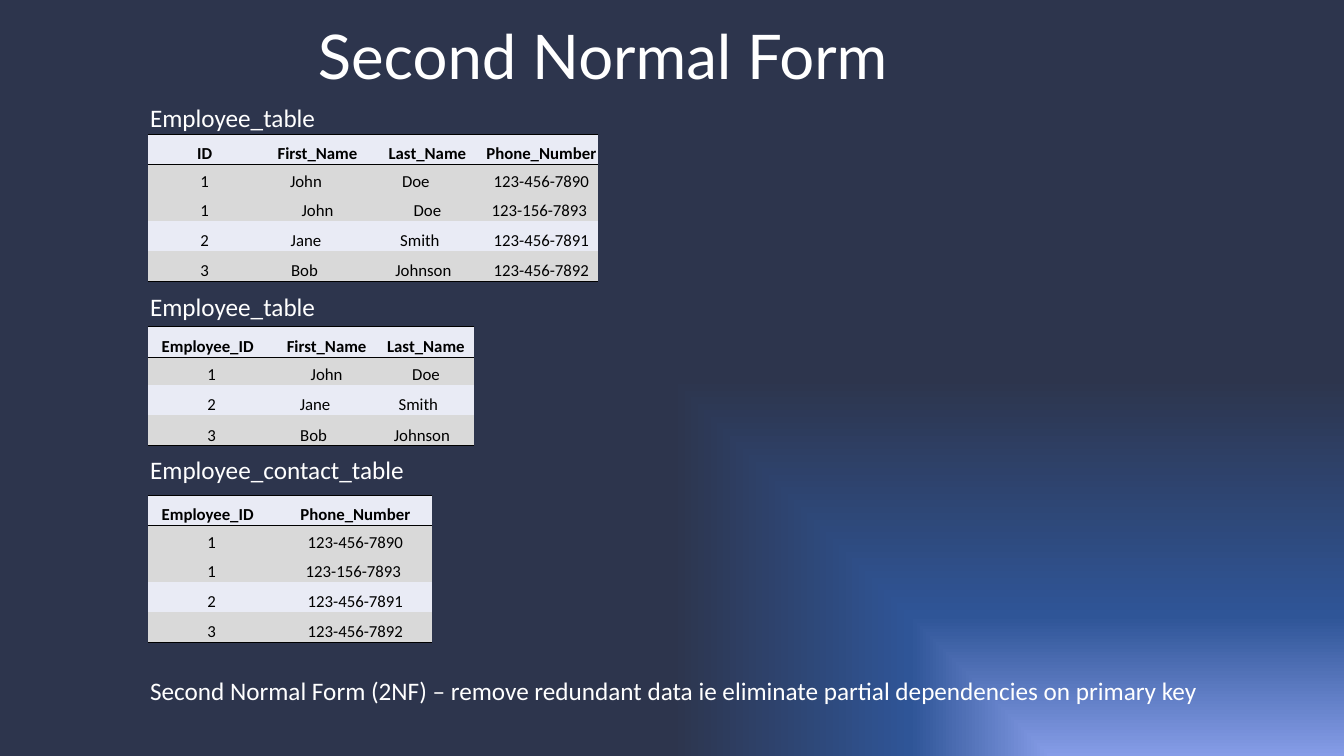
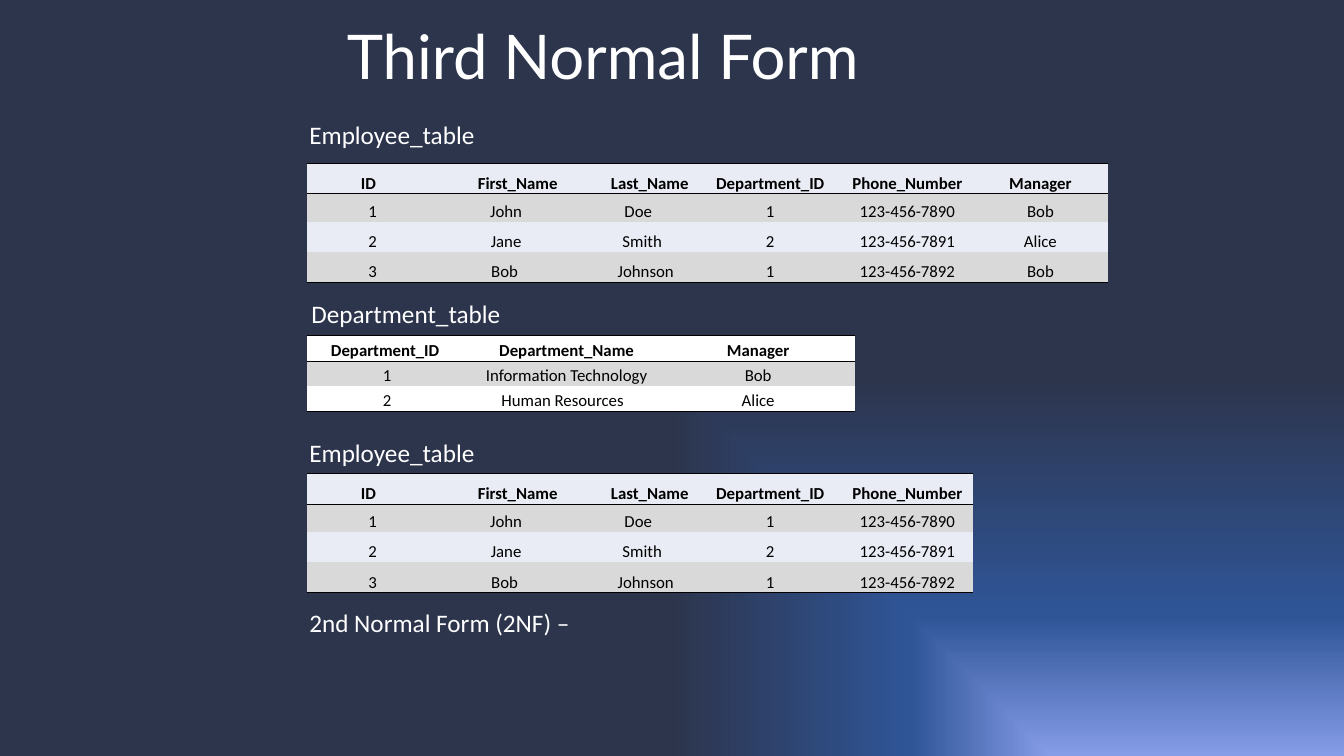
import pptx
import pptx.dml.color
import pptx.enum.text
import pptx.oxml
import pptx.oxml.ns
import pptx.util
from pptx.util import Inches

WHITE, BLACK = "FFFFFF", "000000"
GREY, PALE = "D9D9D9", "E9EBF5"
BODY_FONT, TITLE_FONT = "Calibri", "Lato"
NO_STYLE = "{2D5ABB26-0587-4C30-8999-92F81FD0307C}"
GRADIENT = [(0, "859CE7"), (37, "2F5597"), (100, "2D354D")]
CENTER = pptx.enum.text.PP_ALIGN.CENTER

# A cell is its text, or (text, inches of padding that push it left; negative pushes right).
JOHN, DOE = ("John", 0.23), ("Doe", 0.23)
JANE, SMITH = ("Jane", 0.23), ("Smith", 0.15)
BOB, JOHNSON = ("Bob", 0.26), ("Johnson", 0.08)
PHONE_1, PHONE_2, PHONE_3 = [(f"123-456-789{n}", -0.04) for n in range(3)]
PHONE_EXTRA = "123-156-7893"
PHONE_HEAD = ("Phone_Number", -0.04)
ID_HEAD, EMPLOYEE_ID = ("ID", 0.08), ("Employee_ID", 0.08)
NAME_HEADS = ["First_Name", "Last_Name"]

STAFF = [
    [ID_HEAD, *NAME_HEADS, "Department_ID", PHONE_HEAD, "Manager"],
    ["1", JOHN, DOE, "1", PHONE_1, "Bob"],
    ["2", JANE, SMITH, "2", PHONE_2, "Alice"],
    ["3", BOB, JOHNSON, "1", PHONE_3, "Bob"],
]
STAFF_COLS = [1.31, 1.57, 1.05, 1.34, 1.34, 1.34]


def rgb(color):
    return pptx.dml.color.RGBColor.from_string(color)


def write(tf, text, size=18, font=BODY_FONT, color=WHITE, bold=False, align=None):
    p = tf.paragraphs[0]
    p.alignment = align
    r = p.add_run()
    r.text = text
    r.font.size = pptx.util.Pt(size)
    r.font.name = font
    r.font.bold = bold
    r.font.color.rgb = rgb(color)


def add_text(slide, text, x, y, w, h=0.4, wrap=False, **fmt):
    tf = slide.shapes.add_textbox(Inches(x), Inches(y), Inches(w), Inches(h)).text_frame
    tf.word_wrap = wrap
    write(tf, text, **fmt)


def set_background(master):
    """Give every slide the glow from the bottom right corner."""
    master.background.fill.solid()
    solid = master.element.xpath("p:cSld/p:bg/p:bgPr/a:solidFill")[0]
    stops = "".join(f'<a:gs pos="{pos * 1000}"><a:srgbClr val="{color}"/></a:gs>'
                    for pos, color in GRADIENT)
    glow = pptx.oxml.parse_xml(
        f'<a:gradFill {pptx.oxml.ns.nsdecls("a")} rotWithShape="1"><a:gsLst>{stops}</a:gsLst>'
        '<a:path path="rect"><a:fillToRect l="100000" t="100000"/></a:path></a:gradFill>')
    solid.getparent().replace(solid, glow)


def rule_cell(cell, top, bottom):
    """Draw thin black lines on the wanted edges; keep the other edges clear."""
    tcPr = cell._tc.get_or_add_tcPr()
    edges = [("lnL", False), ("lnR", False), ("lnT", top), ("lnB", bottom)]
    for i, (tag, shown) in enumerate(edges):
        paint = f'<a:solidFill><a:srgbClr val="{BLACK}"/></a:solidFill>' if shown else "<a:noFill/>"
        tcPr.insert(i, pptx.oxml.parse_xml(
            f'<a:{tag} {pptx.oxml.ns.nsdecls("a")} w="6350">{paint}</a:{tag}>'))


def fill_cell(cell, content, fill, bold):
    text, shift = content if isinstance(content, tuple) else (content, 0)
    cell.margin_left = Inches(0.01 + max(-shift, 0))
    cell.margin_right = Inches(0.01 + max(shift, 0))
    cell.margin_top, cell.margin_bottom = Inches(0.01), 0
    cell.vertical_anchor = pptx.enum.text.MSO_ANCHOR.BOTTOM
    cell.fill.solid()
    cell.fill.fore_color.rgb = rgb(fill)
    write(cell.text_frame, text, size=12, color=BLACK, bold=bold, align=CENTER)


def add_data_table(slide, x, y, cols, rows, light=PALE, row_h=0.3, first_h=0.28):
    """Add a table whose rows with an odd ID are grey; rows with ID 1 are first_h high."""
    heights = [first_h if row[0] == "1" else row_h for row in rows]
    frame = slide.shapes.add_table(len(rows), len(cols), Inches(x), Inches(y),
                                   Inches(sum(cols)), Inches(sum(heights)))
    table = frame.table
    table.first_row = table.horz_banding = False
    table._tbl.tblPr.find(pptx.oxml.ns.qn("a:tableStyleId")).text = NO_STYLE
    for column, width in zip(table.columns, cols):
        column.width = Inches(width)
    for i, row in enumerate(rows):
        table.rows[i].height = Inches(heights[i])
        header, last = i == 0, i == len(rows) - 1
        fill = GREY if not header and int(row[0]) % 2 else light
        for j, content in enumerate(row):
            cell = table.cell(i, j)
            fill_cell(cell, content, fill, bold=header)
            rule_cell(cell, top=i <= 1, bottom=header or last)


def add_titled_slide(prs, title):
    slide = prs.slides.add_slide(prs.slide_layouts[6])
    add_text(slide, title, 2.65, 0.13, 6.66, 0.84, wrap=True,
             size=44, font=TITLE_FONT, align=CENTER)
    return slide


def add_second_form(prs):
    slide = add_titled_slide(prs, "Second Normal Form")
    label_x, table_x = 1.39, 1.47
    add_text(slide, "Employee_table", label_x, 0.97, 1.86)
    add_data_table(slide, table_x, 1.33, [1.12, 1.12, 1.06, 1.16], [
        ["ID", *NAME_HEADS, PHONE_HEAD],
        ["1", JOHN, DOE, PHONE_1],
        ["1", "John", "Doe", PHONE_EXTRA],
        ["2", JANE, SMITH, PHONE_2],
        ["3", BOB, JOHNSON, PHONE_3],
    ])
    add_text(slide, "Employee_table", label_x, 2.84, 1.86)
    add_data_table(slide, table_x, 3.24, [1.26, 1.02, 0.95], [
        [EMPLOYEE_ID, *NAME_HEADS],
        ["1", "John", "Doe"],
        ["2", JANE, SMITH],
        ["3", BOB, JOHNSON],
    ])
    add_text(slide, "Employee_contact_table", label_x, 4.46, 2.75)
    add_data_table(slide, table_x, 4.91, [1.26, 1.55], [
        [EMPLOYEE_ID, PHONE_HEAD],
        ["1", PHONE_1],
        ["1", PHONE_EXTRA],
        ["2", PHONE_2],
        ["3", PHONE_3],
    ])
    add_text(slide, "Second Normal Form (2NF) – remove redundant data ie eliminate "
                    "partial dependencies on primary key", label_x, 6.65, 10.72)


def add_third_form(prs):
    slide = add_titled_slide(prs, "Third Normal Form")
    label_x, table_x = 2.97, 3.04
    add_text(slide, "Employee_table", label_x, 1.13, 1.86)
    add_data_table(slide, table_x, 1.62, STAFF_COLS, STAFF)
    add_text(slide, "Department_table", 2.99, 2.91, 2.1)
    add_data_table(slide, table_x, 3.33, [1.6, 1.92, 1.92], [
        [("Department_ID", 0.04), ("Department_Name", -0.04), "Manager"],
        ["1", ("Information Technology", -0.04), "Bob"],
        ["2", ("Human Resources", 0.04), "Alice"],
    ], light=WHITE, row_h=0.25, first_h=0.25)
    add_text(slide, "Employee_table", label_x, 4.29, 1.86)
    add_data_table(slide, table_x, 4.7, STAFF_COLS[:-1], [row[:-1] for row in STAFF])
    add_text(slide, "2nd Normal Form (2NF) –", label_x, 5.98, 2.87)


def main():
    prs = pptx.Presentation()
    prs.slide_width, prs.slide_height = Inches(13.33), Inches(7.5)
    set_background(prs.slide_master)
    add_second_form(prs)
    add_third_form(prs)
    prs.save("out.pptx")


if __name__ == "__main__":
    main()
